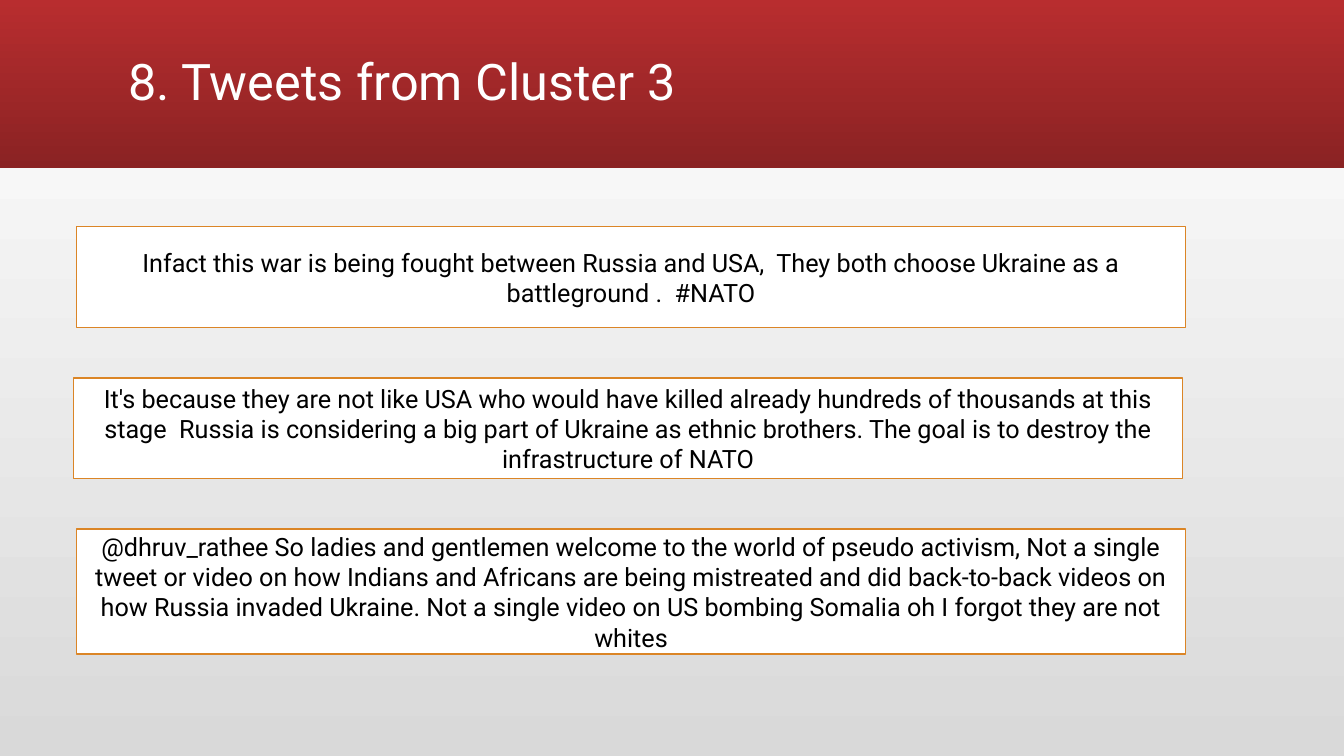
from pptx import Presentation
from pptx.dml.color import RGBColor
from pptx.enum import shapes, text
from pptx.util import Inches, Pt

FONT = "Roboto"
TWEET_WIDTH = 11
TWEETS = [  # left, top, height, wording
    (0.76, 2.25, 1,
     "Infact this war is being fought between Russia and USA,  They both choose "
     "Ukraine as a battleground .  #NATO"),
    (0.73, 3.75, 1,
     "It's because they are not like USA who would have killed already hundreds of "
     "thousands at this stage  Russia is considering a big part of Ukraine as ethnic "
     "brothers. The goal is to destroy the infrastructure of NATO"),
    (0.76, 5.25, 1.24,
     "@dhruv_rathee So ladies and gentlemen welcome to the world of pseudo activism, "
     "Not a single tweet or video on how Indians and Africans are being mistreated and "
     "did back-to-back videos on how Russia invaded Ukraine. Not a single video on US "
     "bombing Somalia oh I forgot they are not whites"),
]


def color(hex_code):
    return RGBColor.from_string(hex_code)


def fill_gradient(fill, start, end, angle):
    """Blend two colours; the angle runs counter-clockwise."""
    fill.gradient()
    fill.gradient_angle = angle
    for stop, hex_code in zip(fill.gradient_stops, (start, end)):
        stop.color.rgb = color(hex_code)


def write_text(box, wording, size=18, hex_code="000000",
               align=text.PP_ALIGN.CENTER, spacing=None):
    frame = box.text_frame
    frame.word_wrap = True
    frame.auto_size = text.MSO_AUTO_SIZE.NONE
    frame.vertical_anchor = text.MSO_ANCHOR.MIDDLE
    para = frame.paragraphs[0]
    para.alignment = align
    para.line_spacing = spacing
    span = para.add_run()
    span.text = wording
    span.font.name = FONT
    span.font.size = Pt(size)
    span.font.color.rgb = color(hex_code)


def add_rectangle(page, left, top, width, height):
    box = page.shapes.add_shape(shapes.MSO_SHAPE.RECTANGLE, Inches(left),
                                Inches(top), Inches(width), Inches(height))
    box.shadow.inherit = False
    return box


def add_header_band(page):
    band = add_rectangle(page, 0, 0, 13.33, 1.67)
    fill_gradient(band.fill, "B82D2F", "8A2223", 270)
    band.line.fill.background()
    # Send the band behind the title
    page.shapes.title._element.addprevious(band._element)


def set_title(page, wording):
    title = page.shapes.title
    title.left, title.top = Inches(1.17), Inches(0.11)
    title.width, title.height = Inches(11), Inches(1.45)
    write_text(title, wording, size=36, hex_code="FFFFFF",
               align=text.PP_ALIGN.LEFT, spacing=0.9)


def add_tweet(page, left, top, height, wording):
    box = add_rectangle(page, left, top, TWEET_WIDTH, height)
    box.fill.solid()
    box.fill.fore_color.rgb = color("FFFFFF")
    box.line.color.rgb = color("DB8526")
    box.line.width = Pt(1)
    write_text(box, wording)


def main():
    deck = Presentation()
    deck.slide_width, deck.slide_height = Inches(13.33), Inches(7.5)
    page = deck.slides.add_slide(deck.slide_layouts.get_by_name("Title Only"))

    # Background and header
    fill_gradient(page.background.fill, "D9D9D9", "FFFFFF", 90)
    add_header_band(page)
    set_title(page, "8. Tweets from Cluster 3")

    # Quoted tweets
    for tweet in TWEETS:
        add_tweet(page, *tweet)

    deck.save("out.pptx")


if __name__ == "__main__":
    main()
